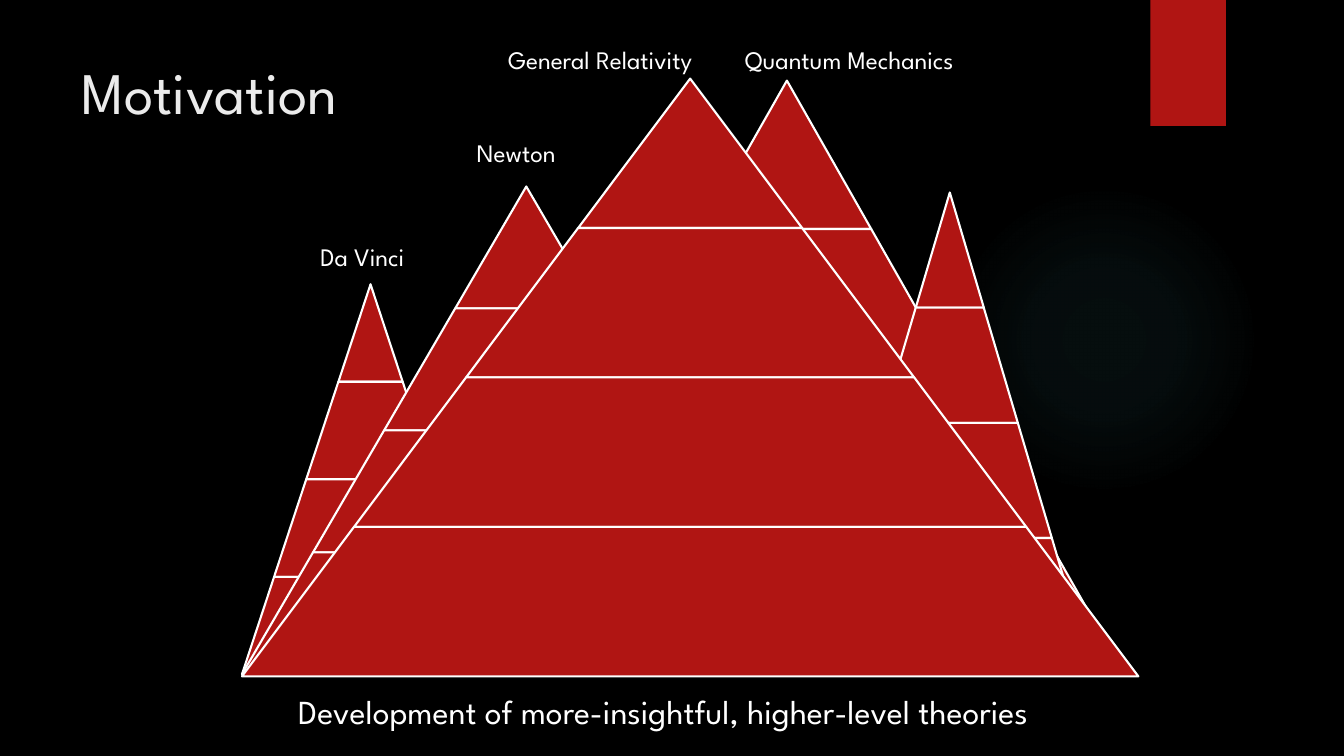
"""Build the Motivation slide: mountains of tiers for successive physical theories."""
from dataclasses import dataclass

from lxml import etree
from pptx import Presentation
from pptx.dml.color import RGBColor
from pptx.enum.shapes import MSO_SHAPE
from pptx.enum.text import MSO_ANCHOR, MSO_AUTO_SIZE
from pptx.oxml import parse_xml
from pptx.oxml.ns import nsdecls
from pptx.util import Inches, Pt

RECTANGLE, OVAL, TRAPEZOID = MSO_SHAPE.RECTANGLE, MSO_SHAPE.OVAL, MSO_SHAPE.TRAPEZOID
TOP = MSO_ANCHOR.TOP
FIT = MSO_AUTO_SIZE.SHAPE_TO_FIT_TEXT


@dataclass(frozen=True)
class Theme:
    """Colours, font and sizes of the slide."""
    black: RGBColor = RGBColor(0x00, 0x00, 0x00)
    red: RGBColor = RGBColor(0xB0, 0x15, 0x13)
    white: RGBColor = RGBColor(0xFF, 0xFF, 0xFF)
    title_grey: RGBColor = RGBColor(0xEB, 0xEB, 0xEB)
    glow: str = "50B9C1"
    font: str = "League Spartan"
    title: int = 42
    caption: int = 24
    label: int = 18
    outline: float = 1.5


THEME = Theme()
TIERS = 4
GLOW_STOPS = [(0, 7), (36, 6), (69, 0)]

BACK_MOUNTAINS = [
    (4.46, 0.8, 6.69, 5.89),
    (8.07, 1.91, 2.7, 4.57),
    (2.4, 2.82, 2.55, 3.87),
    (2.4, 1.85, 5.64, 4.84),
]
FRONT_MOUNTAIN = (2.4, 0.78, 8.89, 5.93)

LABELS = [
    ("Da Vinci", 3.08, 2.34, 1.04),
    ("Newton", 4.63, 1.31, 1.02),
    ("General Relativity", 4.94, 0.39, 2.09),
    ("Quantum Mechanics", 7.29, 0.39, 2.33),
]


def add_filled(shapes, kind, left, top, width, height):
    """Add a red preset shape without outline or shadow."""
    sp = shapes.add_shape(kind, Inches(left), Inches(top), Inches(width), Inches(height))
    sp.shadow.inherit = False
    sp.fill.solid()
    sp.fill.fore_color.rgb = THEME.red
    sp.line.fill.background()
    return sp


def add_glow(s, left, top, size):
    """Add a circle with a faint radial gradient."""
    sp = add_filled(s.shapes, OVAL, left, top, size, size)
    grad = parse_xml(f'<a:gradFill {nsdecls("a")} rotWithShape="1"><a:gsLst/>'
                     '<a:path path="circle"><a:fillToRect l="50000" t="50000" '
                     'r="50000" b="50000"/></a:path></a:gradFill>')
    for pos, alpha in GLOW_STOPS:
        stop = etree.SubElement(grad[0], grad[0].tag.replace("gsLst", "gs"), pos=str(pos * 1000))
        stop.append(parse_xml(f'<a:srgbClr {nsdecls("a")} val="{THEME.glow}">'
                              f'<a:alpha val="{alpha * 1000}"/></a:srgbClr>'))
    solid = sp.fill._xPr.solidFill
    solid.getparent().replace(solid, grad)


def add_mountain(s, left, top, width, height):
    """Add a triangle grouped from equally high trapezoid tiers."""
    group = s.shapes.add_group_shape()
    tier_height = height / TIERS
    inset = width / TIERS / 2
    for i in range(TIERS):
        tier_width = width * (i + 1) / TIERS
        sp = add_filled(group.shapes, TRAPEZOID, left + (width - tier_width) / 2,
                        top + i * tier_height, tier_width, tier_height)
        sp.adjustments[0] = inset / min(tier_width, tier_height)
        sp.line.color.rgb = THEME.white
        sp.line.width = Pt(THEME.outline)


def add_text(s, text, left, top, width, height, size, color):
    """Add a one-line text box and return its frame."""
    tf = s.shapes.add_textbox(Inches(left), Inches(top), Inches(width), Inches(height)).text_frame
    tf.word_wrap = False
    tf.auto_size = FIT
    tf.vertical_anchor = TOP
    p = tf.paragraphs[0]
    p.text = text
    p.font.name = THEME.font
    p.font.size = Pt(size)
    p.font.color.rgb = color
    return tf


def main():
    """Build and save the slide."""
    prs = Presentation()
    prs.slide_width, prs.slide_height = Inches(13.33), Inches(7.5)
    s = prs.slides.add_slide(prs.slide_layouts[6])
    s.background.fill.solid()
    s.background.fill.fore_color.rgb = THEME.black

    add_glow(s, 9.41, 1.83, 3.08)
    add_filled(s.shapes, RECTANGLE, 11.41, 0, 0.75, 1.25)
    for mountain in BACK_MOUNTAINS:
        add_mountain(s, *mountain)

    title = add_text(s, "Motivation", 0.71, 0.5, 10.29, 1.53, THEME.title, THEME.title_grey)
    title.word_wrap = True
    title.auto_size = MSO_AUTO_SIZE.NONE
    add_text(s, "Development of more-insightful, higher-level theories",
             2.86, 6.81, 7.7, 0.5, THEME.caption, THEME.white)
    add_mountain(s, *FRONT_MOUNTAIN)
    for text, left, top, width in LABELS:
        add_text(s, text, left, top, width, 0.4, THEME.label, THEME.white)

    prs.save("out.pptx")


if __name__ == "__main__":
    main()
